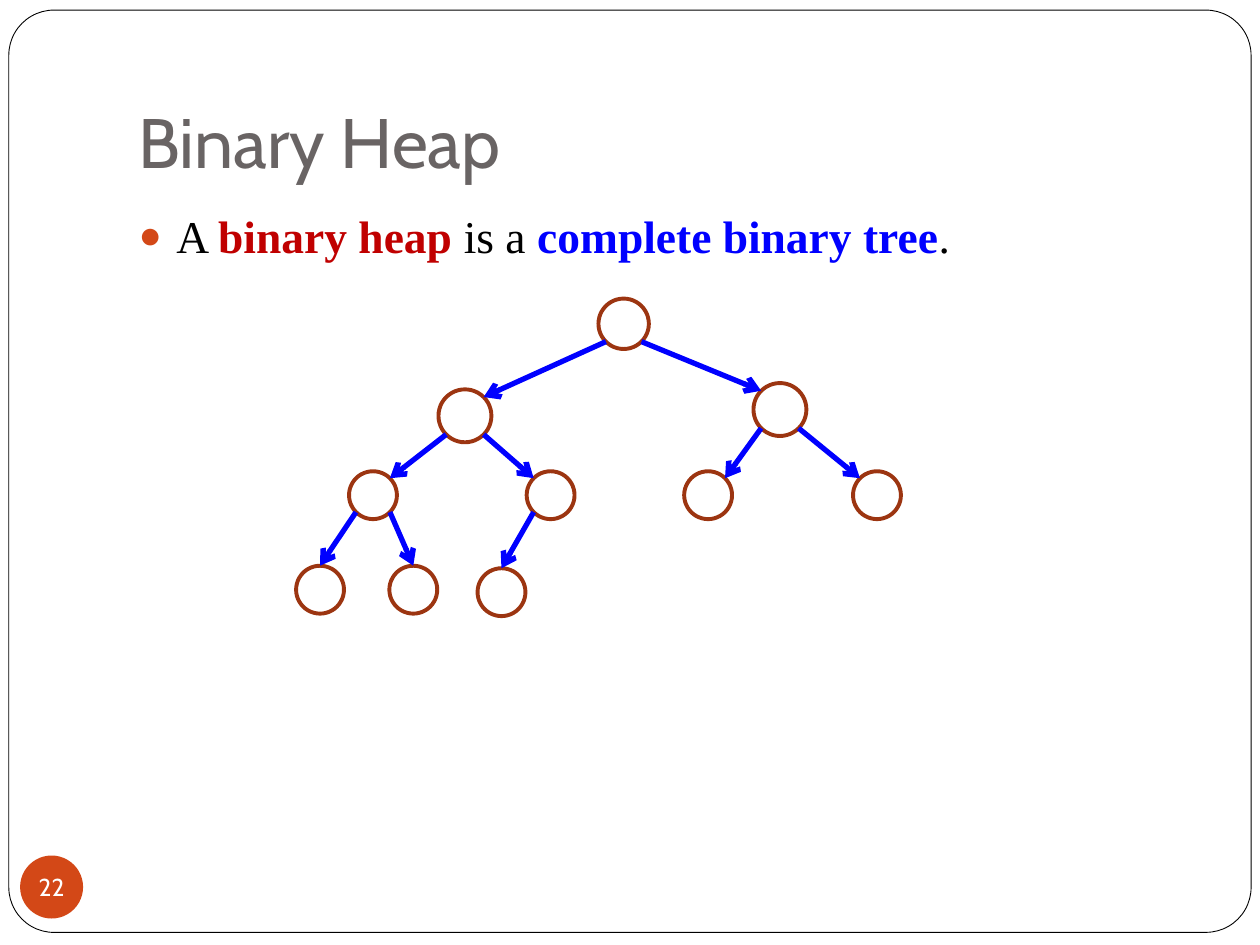
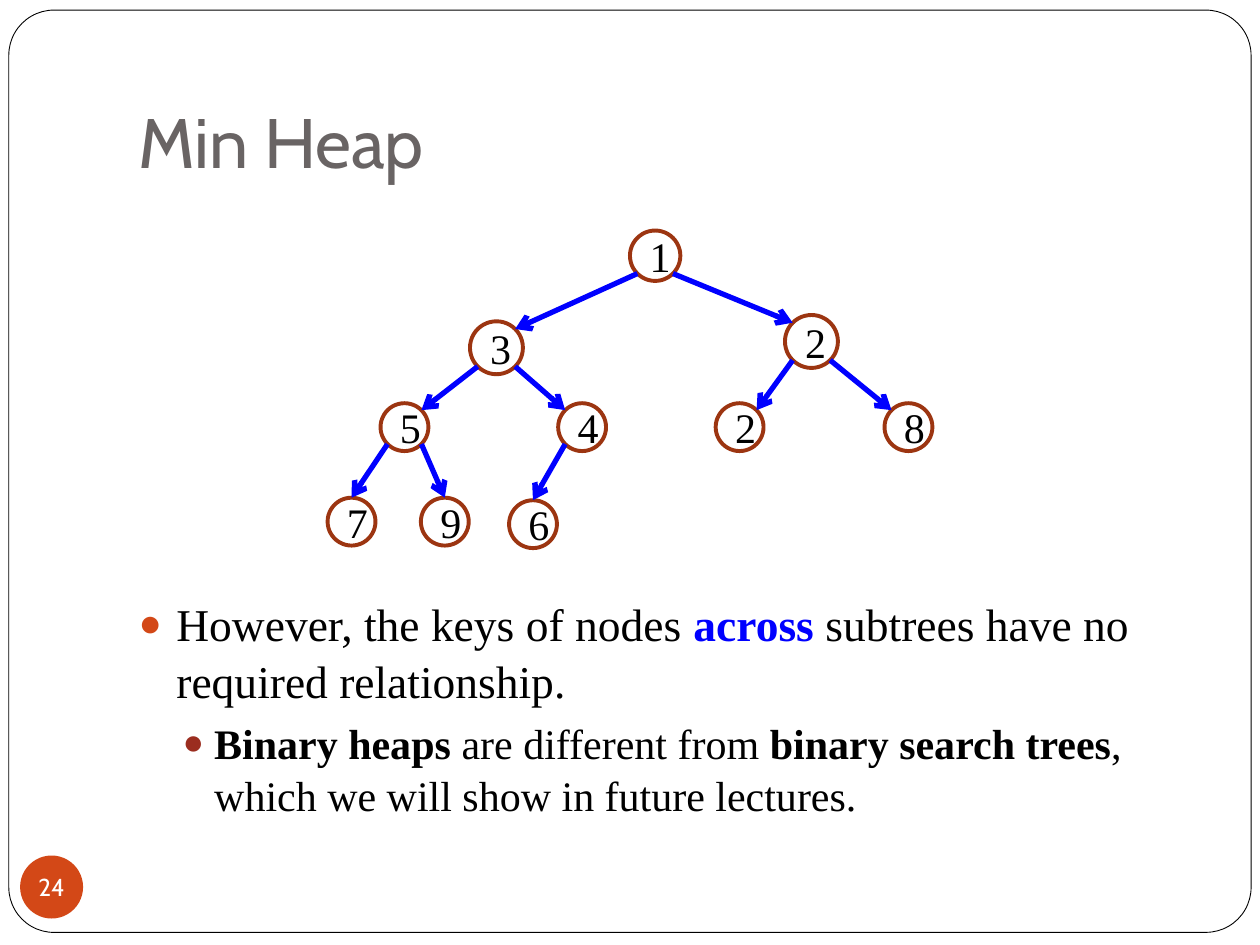
from lxml import etree
from pptx import Presentation
from pptx.dml.color import RGBColor
from pptx.enum.shapes import MSO_CONNECTOR, MSO_SHAPE
from pptx.enum.text import MSO_ANCHOR, MSO_AUTO_SIZE, PP_ALIGN
from pptx.oxml.ns import qn
from pptx.util import Inches, Pt

ROUND, OVAL = MSO_SHAPE.ROUNDED_RECTANGLE, MSO_SHAPE.OVAL
STRAIGHT = MSO_CONNECTOR.STRAIGHT
MIDDLE, BOTTOM, TOP = MSO_ANCHOR.MIDDLE, MSO_ANCHOR.BOTTOM, MSO_ANCHOR.TOP
LEFT, CENTER = PP_ALIGN.LEFT, PP_ALIGN.CENTER
FIXED = MSO_AUTO_SIZE.NONE

HUES = {"white": "FFFFFF", "black": "000000", "title": "696464",
        "orange": "D34817", "brick": "9B2D1F", "ring": "9C3511",
        "blue": "0000FF", "red": "C00000"}
SANS, SERIF = "Cabin", "Times New Roman"
FRAME = (0.07, 0.08, 9.86, 7.32)
TITLE = (1, 0.3, 8.5, 1.25)
BADGE = (0.16, 6.79, 0.5, 0.5)
LEVELS = [
    {"size": 26, "left": 0.3, "hang": -0.3, "gap": 5.8, "dot": "orange"},
    {"size": 24, "left": 0.6, "hang": -0.25, "gap": 3.7, "dot": "brick"},
]
NODES = [(2.4, 0, 0.4), (1.13, 0.72, 0.42), (3.63, 0.67, 0.42),
         (0.42, 1.37, 0.38), (1.83, 1.37, 0.38), (3.08, 1.37, 0.38),
         (4.42, 1.37, 0.38), (0, 2.12, 0.38), (0.74, 2.12, 0.38),
         (1.44, 2.14, 0.38)]
LAST_ROW = 7
RIM = 0.146

SLIDES = [
    {"title": "Binary Heap", "page": "22", "tree": (2.35, 2.37), "keys": "",
     "body": (1, 1.58, 8.5, 5),
     "list": [(0, [("A ", "black", False), ("binary heap", "red", True),
                   (" is a ", "black", False),
                   ("complete binary tree", "blue", True),
                   (".", "black", False)])]},
    {"title": "Min Heap", "page": "24", "tree": (2.6, 1.83),
     "keys": "1325428796", "body": (1, 4.66, 8.5, 1.92),
     "list": [(0, [("However, the keys of nodes ", "black", False),
                   ("across ", "blue", True),
                   ("subtrees have no required relationship.",
                    "black", False)]),
              (1, [("Binary heaps ", "black", True),
                   ("are different from ", "black", False),
                   ("binary search trees", "black", True),
                   (", which we will show in future lectures.",
                    "black", False)])]},
]


def color(name):
    return RGBColor.from_string(HUES[name])


def place(shape, box):
    shape.left, shape.top, shape.width, shape.height = map(Inches, box)


def write(para, text, font, size, hue, bold=False):
    run = para.add_run()
    run.text = text
    run.font.name = font
    run.font.size = Pt(size)
    run.font.color.rgb = color(hue)
    run.font.bold = bold


def draw(shapes, kind, box, fill=None, line=None, width=0):
    shape = shapes.add_shape(kind, *map(Inches, box))
    shape.shadow.inherit = False
    if fill:
        shape.fill.solid()
        shape.fill.fore_color.rgb = color(fill)
    else:
        shape.fill.background()
    if line:
        shape.line.color.rgb = color(line)
        shape.line.width = Pt(width)
    else:
        shape.line.fill.background()
    return shape


def add_frame(slide, box):
    frame = draw(slide.shapes, ROUND, box, "white", "black", 0.5)
    frame.adjustments[0] = 0.049
    slide.shapes._spTree.insert(2, frame._element)


def add_title(slide, box, text):
    title = slide.shapes.title
    place(title, box)
    frame = title.text_frame
    frame.auto_size = FIXED
    frame.vertical_anchor = BOTTOM
    frame.margin_bottom = Inches(0.1)
    para = frame.paragraphs[0]
    para.alignment = LEFT
    write(para, text, SANS, 40, "title")


def add_badge(slide, box, page):
    frame = draw(slide.shapes, OVAL, box, "orange").text_frame
    frame.margin_left = frame.margin_right = 0
    frame.margin_top = frame.margin_bottom = 0
    frame.word_wrap = False
    frame.vertical_anchor = MIDDLE
    para = frame.paragraphs[0]
    para.alignment = CENTER
    write(para, page, SANS, 14, "white")


def set_bullet(para, level):
    props = para._p.get_or_add_pPr()
    props.set("marL", str(Inches(level["left"])))
    props.set("indent", str(Inches(level["hang"])))
    tint = etree.SubElement(props, qn("a:buClr"))
    etree.SubElement(tint, qn("a:srgbClr"), val=HUES[level["dot"]])
    etree.SubElement(props, qn("a:buSzPct"), val="85000")
    etree.SubElement(props, qn("a:buChar"), char="●")


def add_list(slide, box, items):
    body = slide.placeholders[1]
    place(body, box)
    frame = body.text_frame
    frame.auto_size = FIXED
    frame.vertical_anchor = TOP
    for i, (depth, runs) in enumerate(items):
        para = frame.add_paragraph() if i else frame.paragraphs[0]
        level = LEVELS[depth]
        para.level = depth
        para.alignment = LEFT
        para.line_spacing = 1.05
        para.space_before = Pt(level["gap"])
        set_bullet(para, level)
        for text, hue, bold in runs:
            write(para, text, SERIF, level["size"], hue, bold)


def add_arrow(shapes, start, end):
    arrow = shapes.add_connector(STRAIGHT, *map(Inches, start + end))
    arrow.line.color.rgb = color("blue")
    arrow.line.width = Pt(3)
    etree.SubElement(arrow.line._get_or_add_ln(), qn("a:tailEnd"), type="arrow")
    etree.SubElement(arrow._element.spPr, qn("a:effectLst"))


def spot(node, across, down):
    x, y, size = node
    return x + across * size, y + down * size


def add_tree(slide, origin, keys):
    shapes = slide.shapes.add_group_shape().shapes
    left, top = origin
    nodes = [(left + x, top + y, size) for x, y, size in NODES]
    for i, (x, y, size) in enumerate(nodes):
        ring = draw(shapes, OVAL, (x, y, size, size), None, "ring", 2.25)
        if keys:
            ring.text_frame.vertical_anchor = MIDDLE
            para = ring.text_frame.paragraphs[0]
            para.alignment = CENTER
            write(para, keys[i], SERIF, 24, "black")
    for i in range(1, len(nodes)):
        side = RIM if i % 2 else 1 - RIM
        start = spot(nodes[(i - 1) // 2], side, 1 - RIM)
        if i < LAST_ROW:
            end = spot(nodes[i], 1 - side, RIM)
        else:
            end = spot(nodes[i], 0.5, 0)
        add_arrow(shapes, start, end)


def add_slide(deck, data):
    slide = deck.slides.add_slide(deck.slide_layouts[1])
    add_frame(slide, FRAME)
    add_title(slide, TITLE, data["title"])
    add_badge(slide, BADGE, data["page"])
    add_list(slide, data["body"], data["list"])
    add_tree(slide, data["tree"], data["keys"])


def main():
    deck = Presentation()
    deck.slide_width, deck.slide_height = Inches(10), Inches(7.5)
    for data in SLIDES:
        add_slide(deck, data)
    deck.save("out.pptx")


if __name__ == "__main__":
    main()
